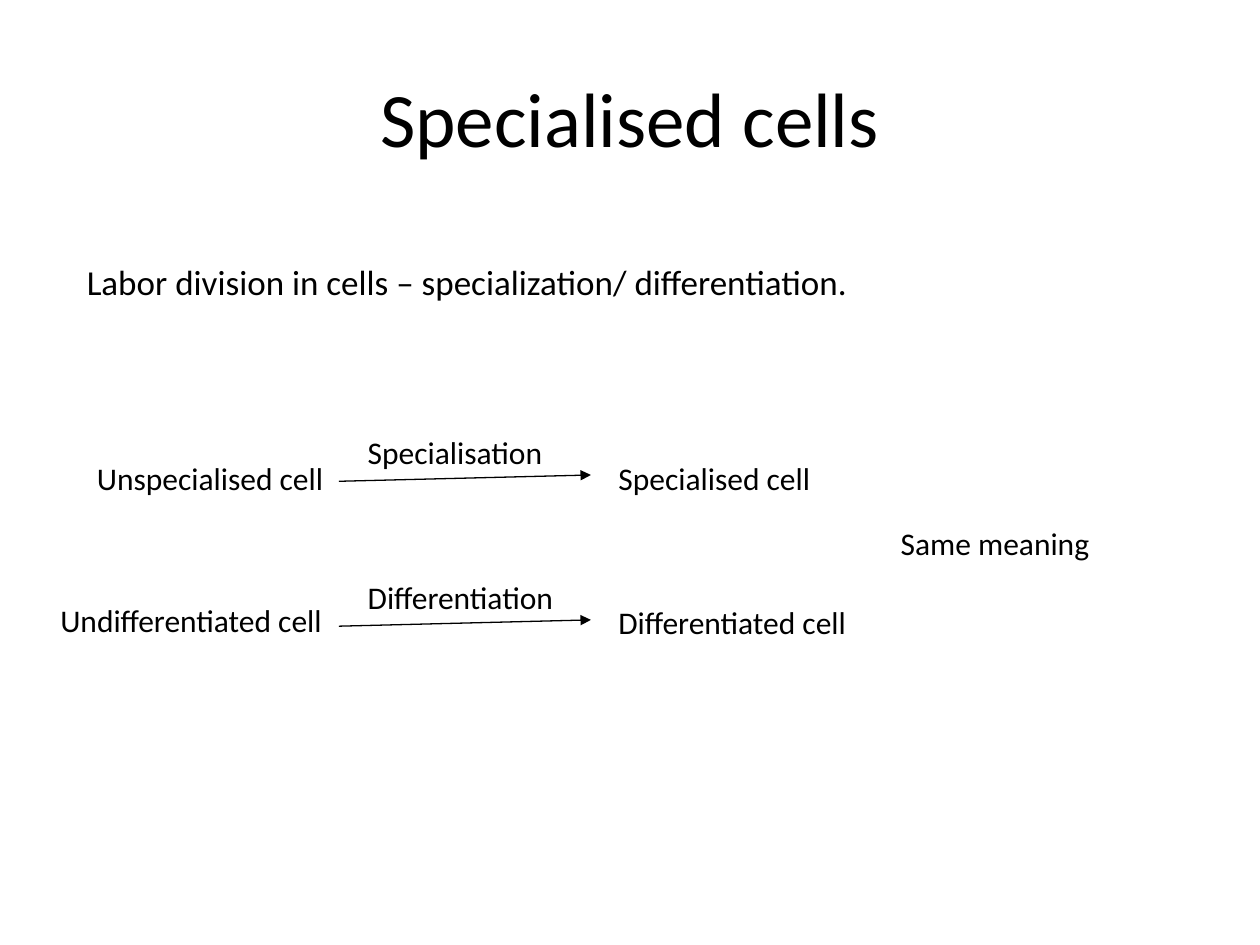
from dataclasses import dataclass

from lxml.etree import SubElement
from pptx import Presentation
from pptx.dml.color import RGBColor
from pptx.enum.shapes import MSO_CONNECTOR
from pptx.enum.text import MSO_ANCHOR, MSO_AUTO_SIZE, PP_ALIGN
from pptx.oxml.ns import qn
from pptx.util import Inches, Pt

COLS, ROWS = 100, 75
CELL = Inches(0.1)


@dataclass(frozen=True)
class Theme:
    font: str = "Calibri"
    ink: RGBColor = RGBColor(0, 0, 0)
    paper: RGBColor = RGBColor(255, 255, 255)
    title: int = 44
    lead: int = 20
    label: int = 18
    line: float = 0.75


THEME = Theme()


def grid(*cells):
    """Turn grid columns and rows into slide lengths."""
    return [round(c * CELL) for c in cells]


def style(p, size):
    for r in p.runs:
        r.font.name = THEME.font
        r.font.size = Pt(size)
        r.font.color.rgb = THEME.ink


def add_title(s, text, box):
    sp = s.shapes.title
    sp.left, sp.top, sp.width, sp.height = grid(*box)
    tf = sp.text_frame
    tf.text = text
    tf.vertical_anchor = MSO_ANCHOR.MIDDLE
    p = tf.paragraphs[0]
    p.alignment = PP_ALIGN.CENTER
    style(p, THEME.title)


def add_label(s, text, box, size=THEME.label):
    tf = s.shapes.add_textbox(*grid(*box)).text_frame
    tf.word_wrap = False
    tf.auto_size = MSO_AUTO_SIZE.SHAPE_TO_FIT_TEXT
    tf.text = text
    style(tf.paragraphs[0], size)


def add_arrow(s, x1, y1, x2, y2):
    line = s.shapes.add_connector(MSO_CONNECTOR.STRAIGHT, *grid(x1, y1, x2, y2))
    line.line.color.rgb = THEME.ink
    line.line.width = Pt(THEME.line)
    SubElement(line.line._get_or_add_ln(), qn("a:tailEnd"), type="triangle")
    SubElement(line._element.spPr, qn("a:effectLst"))


def add_process(s, box, before, process, after):
    """Start cell, arrow with the process above it, resulting cell.

    Each part is its text, width and drop below the top of the box.
    """
    left, top, width, height = box
    arrow_start, arrow_end = left + 23.1, left + 43.1
    text, w, drop = before
    add_label(s, text, (arrow_start - w, top + drop, w, height))
    text, w, drop = after
    add_label(s, text, (left + width - 20.4, top + drop, w, height))
    add_arrow(s, arrow_start, top + 4.3, arrow_end, top + 3.8)
    text, w, drop = process
    add_label(s, text, (arrow_start + 1.3, top + drop, w, height))


def main():
    prs = Presentation()
    prs.slide_width, prs.slide_height = grid(COLS, ROWS)
    s = prs.slides.add_slide(prs.slide_layouts[5])
    s.background.fill.solid()
    s.background.fill.fore_color.rgb = THEME.paper

    add_title(s, "Specialised cells", (5, 3, COLS - 10, 12.5))
    add_label(s, "Labor division in cells – specialization/ differentiation.",
              (5.9, 20.2, 63.1, 4.4), THEME.lead)

    processes = [
        (("Unspecialised cell", 20.2, 2), ("Specialisation", 16, 0),
         ("Specialised cell", 17.4, 2)),
        (("Undifferentiated cell", 23.1, 1.8), ("Differentiation", 17, 0),
         ("Differentiated cell", 20.4, 2)),
    ]
    for i, parts in enumerate(processes):
        add_process(s, (3.8, 33.9 + 11.5 * i, 64.7, 4), *parts)
    add_label(s, "Same meaning", (70.5, 41.1, 17.2, 4))

    prs.save("out.pptx")


if __name__ == "__main__":
    main()
